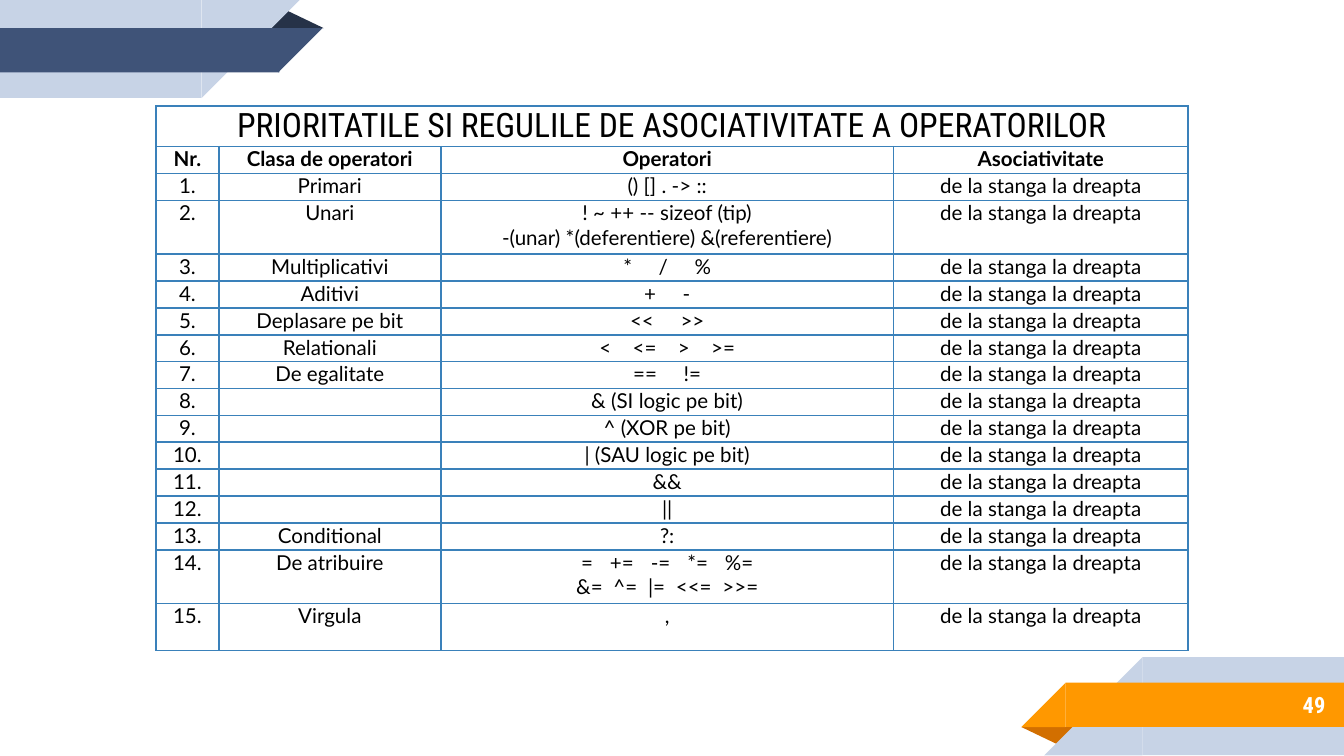
from lxml.etree import SubElement
from pptx import Presentation
from pptx.dml.color import RGBColor
from pptx.enum.shapes import MSO_SHAPE as Shape
from pptx.enum.text import MSO_ANCHOR as Anchor, PP_ALIGN as Align
from pptx.oxml.ns import qn
from pptx.util import Inches, Pt


def color(value):
    return RGBColor.from_string(value)


def style(span, font, size, bold, value):
    span.font.name = font
    span.font.size = Pt(size)
    span.font.bold = bold
    span.font.color.rgb = color(value)


deck = Presentation()
deck.slide_width = Inches(10)
deck.slide_height = Inches(10 * 9 / 16)
page = deck.slides.add_slide(deck.slide_layouts[6])

ribbons = [
    (Shape.ISOSCELES_TRIANGLE, 1.98, 0.07, 0.43, 0.14, 0, "263248"),
    (Shape.RECTANGLE, 0, 0, 1.5, 0.73, 0, "C7D3E6"),
    (Shape.RIGHT_TRIANGLE, 1.5, 0, 0.73, 0.73, 90, "C7D3E6"),
    (Shape.RECTANGLE, 0, 0.21, 2.08, 0.33, 0, "3F5378"),
    (Shape.RIGHT_TRIANGLE, 2.07, 0.21, 0.33, 0.33, 90, "3F5378"),
    (Shape.ISOSCELES_TRIANGLE, 7.6, 5.41, 0.43, 0.14, 180, "D26F00"),
    (Shape.RECTANGLE, 8.5, 4.89, 1.5, 0.73, 0, "C7D3E6"),
    (Shape.RIGHT_TRIANGLE, 7.77, 4.89, 0.73, 0.73, 270, "C7D3E6"),
    (Shape.RECTANGLE, 7.93, 5.08, 2.07, 0.33, 0, "FF9800"),
    (Shape.RIGHT_TRIANGLE, 7.6, 5.08, 0.33, 0.33, 270, "FF9800"),
]
for kind, left, top, width, height, angle, fill in ribbons:
    ribbon = page.shapes.add_shape(kind, Inches(left), Inches(top), Inches(width), Inches(height))
    ribbon.rotation = angle
    ribbon.shadow.inherit = False
    ribbon.fill.solid()
    ribbon.fill.fore_color.rgb = color(fill)
    ribbon.line.fill.background()
    if kind == Shape.ISOSCELES_TRIANGLE:
        ribbon.adjustments[0] = 0.32

number_box = page.shapes.add_textbox(Inches(8.33), Inches(5.07), Inches(1.63), Inches(0.35))
frame = number_box.text_frame
frame.word_wrap = True
frame.vertical_anchor = Anchor.MIDDLE
frame.text = "49"
frame.paragraphs[0].alignment = Align.RIGHT
style(frame.paragraphs[0].runs[0], "Roboto Condensed", 12, True, "FFFFFF")

operators = [
    ("Primari", "() [] . -> ::"),
    ("Unari", "! ~ ++ -- sizeof (tip)\n-(unar) *(deferentiere) &(referentiere)"),
    ("Multiplicativi", "* / %"),
    ("Aditivi", "+ -"),
    ("Deplasare pe bit", "<< >>"),
    ("Relationali", "< <= > >="),
    ("De egalitate", "== !="),
    ("", "& (SI logic pe bit)"),
    ("", "^ (XOR pe bit)"),
    ("", "| (SAU logic pe bit)"),
    ("", "&&"),
    ("", "||"),
    ("Conditional", "?:"),
    ("De atribuire", "= += -= *= %=\n&= ^= |= <<= >>="),
    ("Virgula", ","),
]
wide_gaps = {
    "* / %": 1140, "+ -": 1140, "<< >>": 1140, "== !=": 1140,
    "< <= > >=": 860, "= += -= *= %=": 620, "&= ^= |= <<= >>=": 290,
}
rows = [
    ("PRIORITATILE SI REGULILE DE ASOCIATIVITATE A OPERATORILOR", "", "", ""),
    ("Nr.", "Clasa de operatori", "Operatori", "Asociativitate"),
]
for number, (group, symbols) in enumerate(operators, 1):
    rows.append((f"{number}.", group, symbols, "de la stanga la dreapta"))

table = page.shapes.add_table(len(rows), 4, Inches(1.16), Inches(0.79), Inches(7.68), Inches(4.04)).table
table.first_row = False
table.horz_banding = False
for column, width in zip(table.columns, (0.47, 1.65, 3.37, 2.19)):
    column.width = Inches(width)
special_heights = {0: 0.29, 3: 0.4, 15: 0.4, 16: 0.35}

for row_index, texts in enumerate(rows):
    table.rows[row_index].height = Inches(special_heights.get(row_index, 0.2))
    font, size = ("Roboto Condensed", 18) if row_index == 0 else ("Lato", 11)
    for column_index, text in enumerate(texts):
        cell = table.cell(row_index, column_index)
        cell.margin_left = cell.margin_right = Inches(0.07)
        cell.margin_top = cell.margin_bottom = 0
        cell.text_frame.text = text
        for para in cell.text_frame.paragraphs:
            para.alignment = Align.CENTER
            gap = wide_gaps.get(para.text)
            if gap:
                words = para.text.split(" ")
                para.text = words[0]
                for word in words[1:]:
                    space = para.add_run()
                    space.text = " "
                    space.font._element.set("spc", str(gap))
                    para.add_run().text = word
            for span in para.runs:
                style(span, font, size, row_index == 1, "000000")
            if not para.runs:
                SubElement(para._p, qn("a:endParaRPr"), sz=str(size * 100))
        properties = cell._tc.get_or_add_tcPr()
        for side in ("a:lnL", "a:lnR", "a:lnT", "a:lnB"):
            border = SubElement(properties, qn(side), w=str(Pt(1)))
            border_fill = SubElement(border, qn("a:solidFill"))
            SubElement(border_fill, qn("a:srgbClr"), val="3A81BA")
        cell.fill.background()

table.cell(0, 0).merge(table.cell(0, 3))

deck.save("out.pptx")
